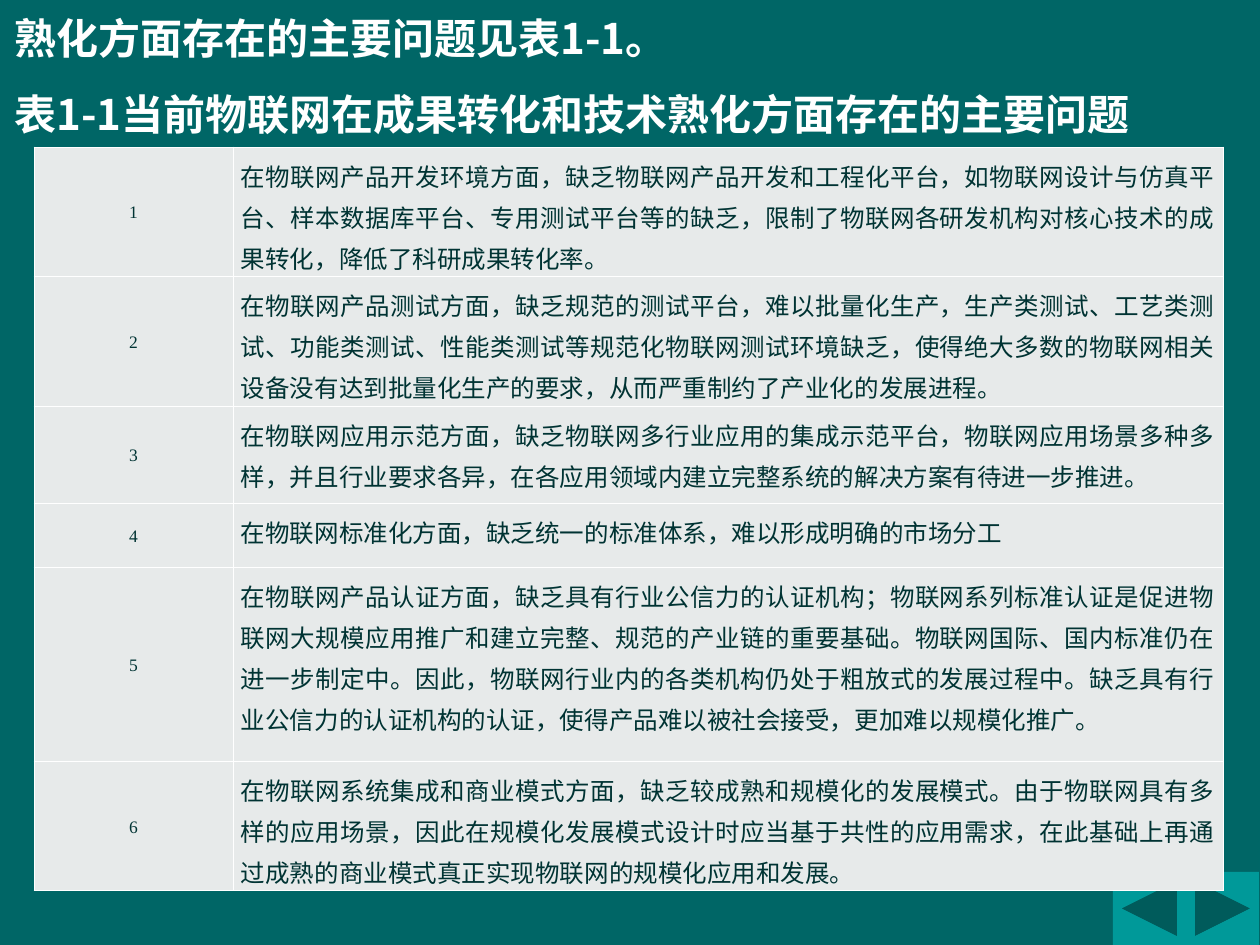
from lxml.etree import SubElement
from pptx import Presentation
from pptx.dml.color import RGBColor
from pptx.enum.shapes import MSO_SHAPE as SHAPE
from pptx.enum.text import MSO_ANCHOR as ANCHOR, MSO_AUTO_SIZE as AUTO, PP_ALIGN as ALIGN
from pptx.oxml.ns import qn
from pptx.util import Emu, Pt

TEAL = RGBColor(0x00, 0x66, 0x66)
BUTTON = RGBColor(0x00, 0x99, 0x99)
WHITE = RGBColor(0xFF, 0xFF, 0xFF)
INK = RGBColor(0x00, 0x33, 0x33)
CELL = RGBColor(0xE7, 0xEA, 0xEA)
SANS = "Noto Sans CJK SC"
SERIF = "Times New Roman"

TITLES = [
    "熟化方面存在的主要问题见表1-1。",
    "表1-1当前物联网在成果转化和技术熟化方面存在的主要问题",
]
PROBLEMS = [
    (129, "在物联网产品开发环境方面，缺乏物联网产品开发和工程化平台，如物联网设计与仿真平台、"
          "样本数据库平台、专用测试平台等的缺乏，限制了物联网各研发机构对核心技术的成果转化，"
          "降低了科研成果转化率。"),
    (130, "在物联网产品测试方面，缺乏规范的测试平台，难以批量化生产，生产类测试、工艺类测试、"
          "功能类测试、性能类测试等规范化物联网测试环境缺乏，使得绝大多数的物联网相关设备没有"
          "达到批量化生产的要求，从而严重制约了产业化的发展进程。"),
    (97, "在物联网应用示范方面，缺乏物联网多行业应用的集成示范平台，物联网应用场景多种多样，"
         "并且行业要求各异，在各应用领域内建立完整系统的解决方案有待进一步推进。"),
    (64, "在物联网标准化方面，缺乏统一的标准体系，难以形成明确的市场分工"),
    (194, "在物联网产品认证方面，缺乏具有行业公信力的认证机构；物联网系列标准认证是促进物联网"
          "大规模应用推广和建立完整、规范的产业链的重要基础。物联网国际、国内标准仍在进一步制定中。"
          "因此，物联网行业内的各类机构仍处于粗放式的发展过程中。缺乏具有行业公信力的认证机构的认证，"
          "使得产品难以被社会接受，更加难以规模化推广。"),
    (130, "在物联网系统集成和商业模式方面，缺乏较成熟和规模化的发展模式。由于物联网具有多样的应用场景，"
          "因此在规模化发展模式设计时应当基于共性的应用需求，在此基础上再通过成熟的商业模式真正实现"
          "物联网的规模化应用和发展。"),
]


def px(n):
    return Emu(round(n * 914400 / 126))


def add_run(p, text, size, color, font, bold=False):
    r = p.add_run()
    r.text = text
    r.font.size = Pt(size)
    r.font.bold = bold
    r.font.color.rgb = color
    r.font.name = font
    SubElement(r.font._element, qn("a:ea")).set("typeface", SANS)


def add_titles(s, x, y, w, h):
    tf = s.shapes.add_textbox(px(x), px(y), px(w), px(h)).text_frame
    tf.word_wrap = True
    tf.auto_size = AUTO.SHAPE_TO_FIT_TEXT
    for i, text in enumerate(TITLES):
        p = tf.add_paragraph() if i else tf.paragraphs[0]
        p.space_before = Pt(15)
        add_run(p, text, 24, WHITE, SANS, True)


def add_borders(cell):
    tc_pr = cell._tc.get_or_add_tcPr()
    for i, side in enumerate(("lnL", "lnR", "lnT", "lnB")):
        ln = tc_pr.makeelement(qn(f"a:{side}"), {"w": str(Pt(0.45))})
        fill = SubElement(ln, qn("a:solidFill"))
        SubElement(fill, qn("a:srgbClr")).set("val", str(WHITE))
        tc_pr.insert(i, ln)


def fill_cell(cell, text, size, font, align, anchor):
    cell.fill.solid()
    cell.fill.fore_color.rgb = CELL
    cell.margin_left = cell.margin_right = px(8)
    cell.margin_top = cell.margin_bottom = px(6)
    cell.vertical_anchor = anchor
    p = cell.text_frame.paragraphs[0]
    p.alignment = align
    p.line_spacing = 1.15
    add_run(p, text, size, INK, font)
    add_borders(cell)


def add_problems(s, x, y, w, number_w):
    h = sum(height for height, _ in PROBLEMS)
    table = s.shapes.add_table(len(PROBLEMS), 2, px(x), px(y), px(w), px(h)).table
    table.first_row = table.horz_banding = False
    table.columns[0].width = px(number_w)
    table.columns[1].width = px(w - number_w)
    for i, (height, text) in enumerate(PROBLEMS):
        table.rows[i].height = px(height)
        fill_cell(table.cell(i, 0), str(i + 1), 10, SERIF, ALIGN.CENTER, ANCHOR.MIDDLE)
        fill_cell(table.cell(i, 1), text, 14, SANS, ALIGN.JUSTIFY, ANCHOR.TOP)


def add_buttons(s, x, y, size):
    kinds = (SHAPE.ACTION_BUTTON_BACK_OR_PREVIOUS, SHAPE.ACTION_BUTTON_FORWARD_OR_NEXT)
    for i, kind in enumerate(kinds):
        sp = s.shapes.add_shape(kind, px(x + i * size), px(y), px(size), px(size))
        sp.shadow.inherit = False
        sp.fill.solid()
        sp.fill.fore_color.rgb = BUTTON
        sp.line.fill.background()


def main():
    prs = Presentation()
    prs.slide_width, prs.slide_height = px(1260), px(945)
    s = prs.slides.add_slide(prs.slide_layouts[6])
    s.background.fill.solid()
    s.background.fill.fore_color.rgb = TEAL
    add_buttons(s, 1113, 872, 73)
    add_titles(s, 2, 6, 1260, 140)
    add_problems(s, 34, 147, 1189, 199)
    prs.save("out.pptx")


if __name__ == "__main__":
    main()
